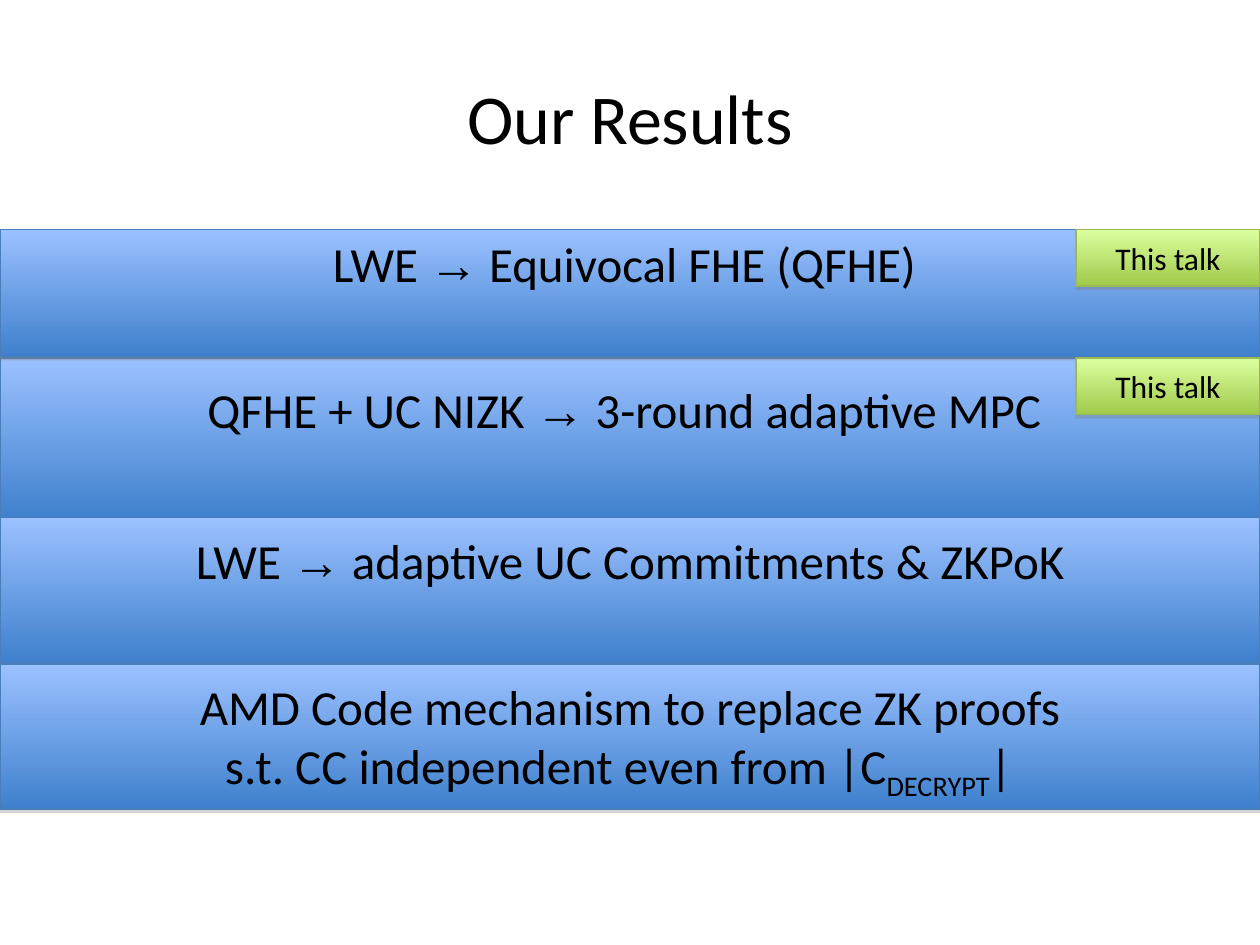
from dataclasses import dataclass

from lxml import etree
from pptx import Presentation
from pptx.dml.color import RGBColor
from pptx.enum.shapes import MSO_SHAPE
from pptx.enum.text import MSO_ANCHOR, PP_ALIGN
from pptx.oxml.ns import qn
from pptx.util import Inches, Pt

RECT = MSO_SHAPE.RECTANGLE
TOP, MIDDLE = MSO_ANCHOR.TOP, MSO_ANCHOR.MIDDLE
CENTER = PP_ALIGN.CENTER
BLACK = RGBColor(0x00, 0x00, 0x00)
GRAY = RGBColor(0x80, 0x80, 0x80)
FONT, SYMBOL = "Calibri", "Arial"
ARROW = "→"
WIDTH = 10
TEXT_HEIGHT = 0.95


@dataclass(frozen=True)
class Style:
    light: RGBColor
    dark: RGBColor
    line: RGBColor


@dataclass(frozen=True)
class Run:
    text: str
    font: str = FONT
    base: int = 0


@dataclass(frozen=True)
class Row:
    runs: tuple[Run, ...]
    right: float = 0


@dataclass(frozen=True)
class Band:
    top: float
    height: float
    rows: tuple[Row, ...]


BLUE = Style(RGBColor(0x9B, 0xC1, 0xFF), RGBColor(0x3F, 0x80, 0xCD),
             RGBColor(0x4A, 0x7E, 0xBB))
GREEN = Style(RGBColor(0xDC, 0xFF, 0xA0), RGBColor(0xA0, 0xCA, 0x4A),
              RGBColor(0x98, 0xB9, 0x54))


def imply(left: str, right: str, pad: float = 0) -> tuple[Row, ...]:
    runs = Run(left + " "), Run(ARROW, SYMBOL), Run(" " + right)
    return (Row(runs, pad),)


BANDS = (
    Band(2.84, 1.28, imply("QFHE + UC NIZK", "3-round adaptive MPC", 0.09)),
    Band(4.11, 1.15, imply("LWE", "adaptive UC Commitments & ZKPoK")),
    Band(1.82, 1.01, imply("LWE", "Equivocal FHE (QFHE)", 0.09)),
    Band(5.27, 1.15, (
        Row((Run("AMD Code mechanism to replace ZK proofs"),)),
        Row((Run("s.t. CC independent even from |C"),
             Run("DECRYPT", base=-25000), Run("|")), 0.18),
    )),
)
TAG_TOPS = 1.82, 2.84
TAG_WIDTH, TAG_HEIGHT = 1.46, 0.45


def add_shade(shape) -> None:
    shape.shadow.inherit = False
    effects = shape._element.spPr.find(qn("a:effectLst"))
    shade = etree.SubElement(effects, qn("a:outerShdw"), blurRad="0",
                             dist=str(Pt(1.8)), dir="5400000", rotWithShape="0")
    color = etree.SubElement(shade, qn("a:srgbClr"), val=str(GRAY))
    etree.SubElement(color, qn("a:alpha"), val="35000")


def add_box(slide, left: float, top: float, width: float, height: float,
            style: Style):
    box = slide.shapes.add_shape(RECT, Inches(left), Inches(top),
                                 Inches(width), Inches(height))
    box.fill.gradient()
    box.fill.gradient_angle = 270
    for stop, color in zip(box.fill.gradient_stops, (style.light, style.dark)):
        stop.color.rgb = color
    box.line.color.rgb = style.line
    box.line.width = Pt(0.75)
    add_shade(box)
    return box


def format_text(para, size: int) -> None:
    para.alignment = CENTER
    para.font.name = FONT
    para.font.size = Pt(size)
    para.font.color.rgb = BLACK


def fill_text(frame, rows: tuple[Row, ...], size: int) -> None:
    for index, row in enumerate(rows):
        para = frame.add_paragraph() if index else frame.paragraphs[0]
        format_text(para, size)
        if row.right:
            para._p.get_or_add_pPr().set("marR", str(Inches(row.right)))
        for part in row.runs:
            run = para.add_run()
            run.text = part.text
            run.font.name = part.font
            run.font.size = Pt(size)
            run.font.color.rgb = BLACK
            if part.base:
                run._r.get_or_add_rPr().set("baseline", str(part.base))


def add_band(slide, band: Band) -> None:
    box = add_box(slide, 0, band.top, WIDTH, band.height, BLUE)
    frame = box.text_frame
    frame.vertical_anchor = TOP
    frame.margin_top = Inches(round((band.height - TEXT_HEIGHT) / 2, 2))
    frame.margin_bottom = 0
    fill_text(frame, band.rows, 28)


def add_tag(slide, top: float) -> None:
    box = add_box(slide, WIDTH - TAG_WIDTH, top, TAG_WIDTH, TAG_HEIGHT, GREEN)
    box.text_frame.vertical_anchor = MIDDLE
    fill_text(box.text_frame, (Row((Run("This talk"),)),), 18)


def add_title(slide) -> None:
    title = slide.shapes.title
    title.left, title.top = Inches(0.5), Inches(0.3)
    title.width, title.height = Inches(9), Inches(1.25)
    title.text_frame.vertical_anchor = MIDDLE
    fill_text(title.text_frame, (Row((Run("Our Results"),)),), 40)


def main() -> None:
    deck = Presentation()
    deck.slide_width, deck.slide_height = Inches(WIDTH), Inches(7.5)
    slide = deck.slides.add_slide(deck.slide_layouts[5])
    add_title(slide)
    for band in BANDS:
        add_band(slide, band)
    for top in TAG_TOPS:
        add_tag(slide, top)
    deck.save("out.pptx")


if __name__ == "__main__":
    main()
